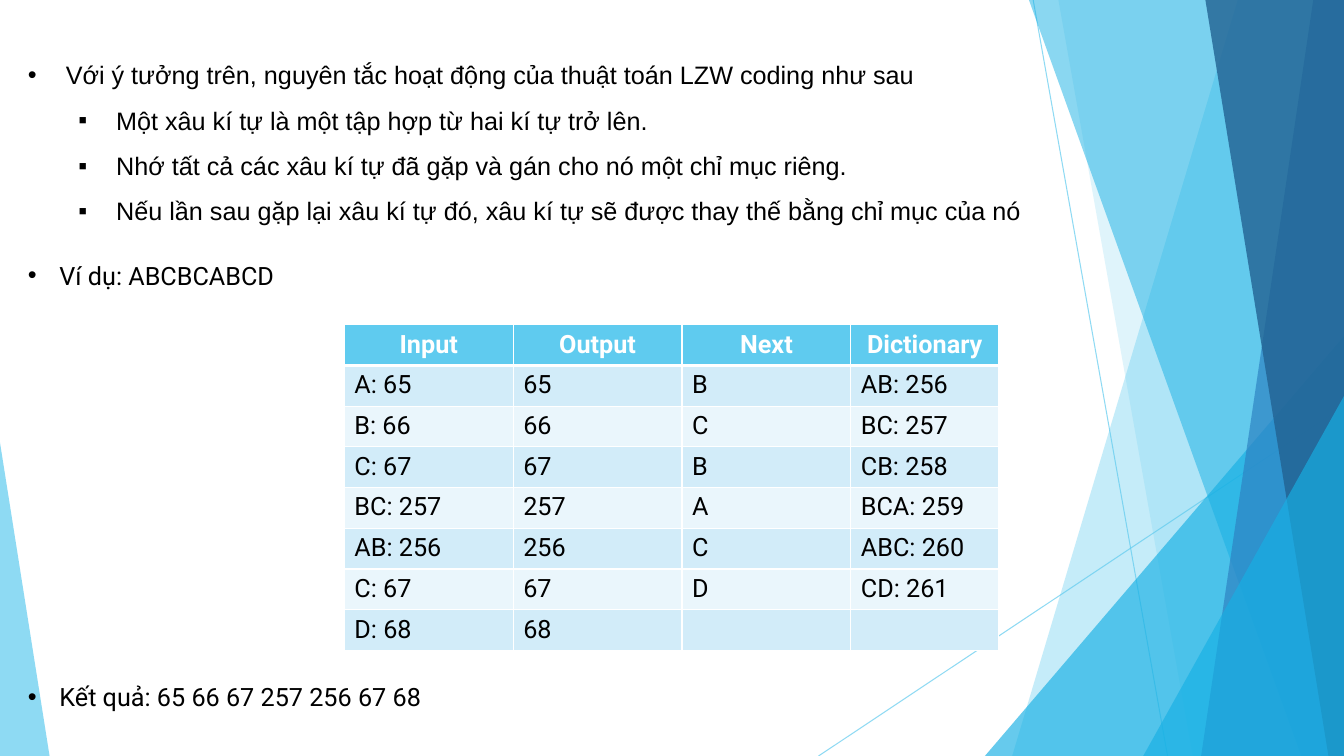
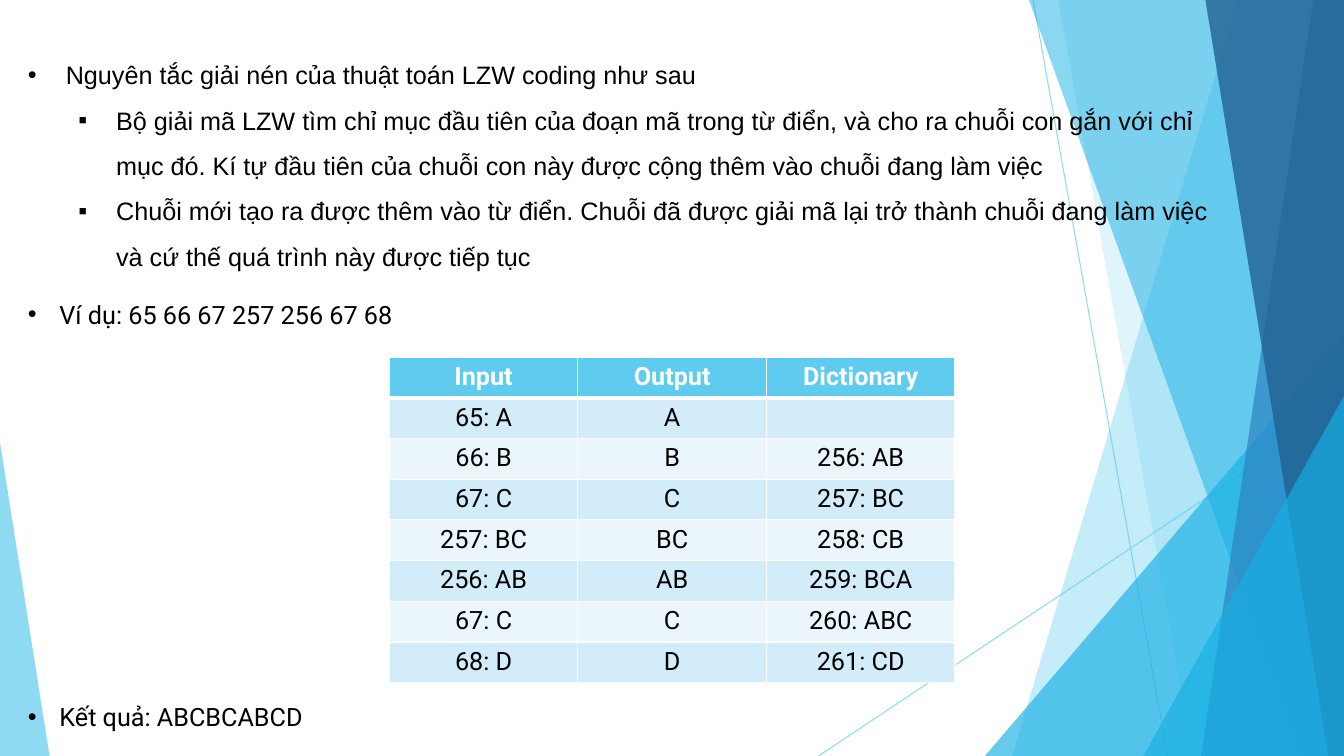
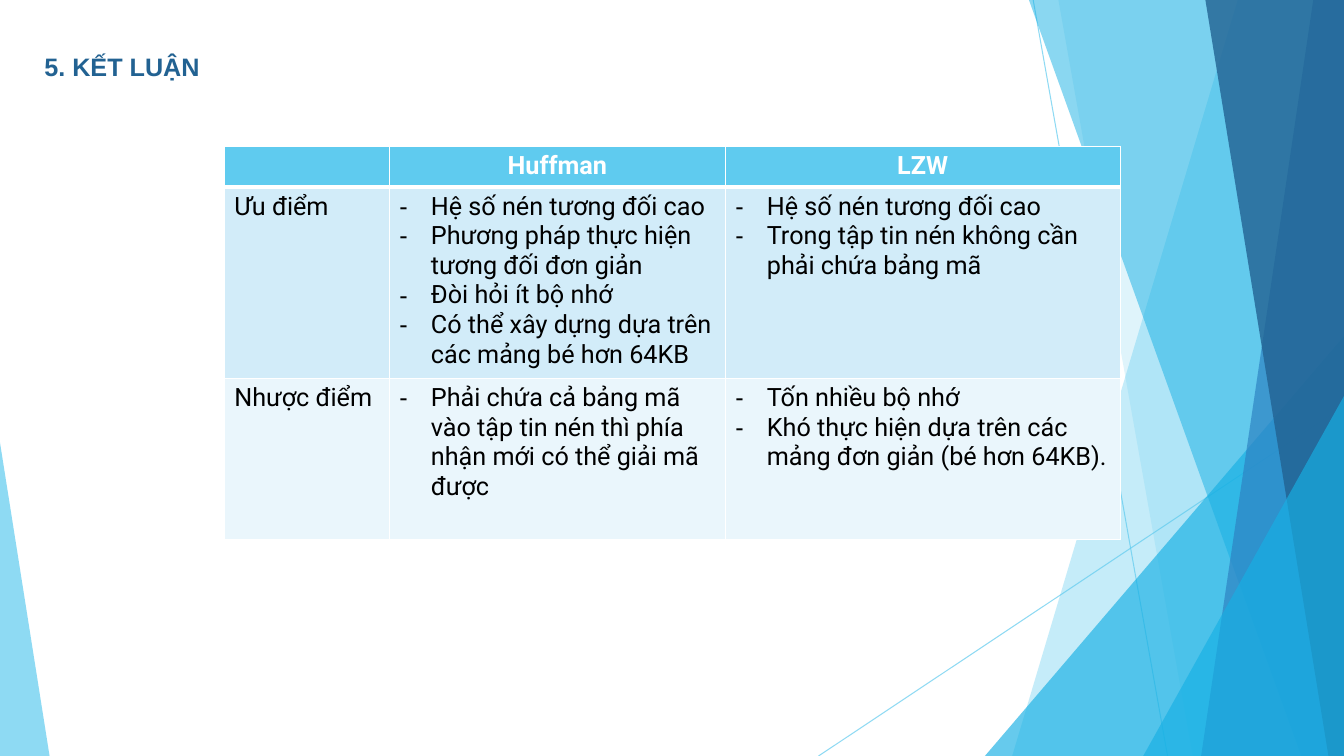
from dataclasses import dataclass

from lxml.etree import SubElement
from pptx import Presentation
from pptx.dml.color import RGBColor as Rgb
from pptx.enum.shapes import MSO_CONNECTOR as Link, MSO_SHAPE as Kind
from pptx.enum.text import MSO_AUTO_SIZE as Fit, PP_ALIGN as Align
from pptx.oxml.ns import qn
from pptx.oxml.xmlchemy import BaseOxmlElement as Node
from pptx.slide import Slide, SlideLayout as Layout
from pptx.table import _Cell as Cell
from pptx.text.text import TextFrame as Frame, _Paragraph as Para
from pptx.util import Emu, Pt

COLS, ROWS = 32, 18
UNIT = 381000


@dataclass(frozen=True)
class Theme:
    sky: str = "5FCBEF"
    cyan: str = "17B0E4"
    blue: str = "2E83C3"
    navy: str = "226292"
    odd: str = "D2ECF9"
    even: str = "EAF6FC"
    white: str = "FFFFFF"
    black: str = "000000"
    plain: str = "Arial"
    body: str = "Roboto"
    size: float = 18
    hair: float = 0.75
    rule: float = 1
    thick: float = 3


LOOK = Theme()


@dataclass(frozen=True)
class Style:
    font: str = LOOK.body
    tint: str = LOOK.black
    bold: bool = False
    mark: str = ""
    left: float = 0
    hang: float = 0
    level: int = 0
    above: float = 0
    lead: float = 1
    align: Align = Align.LEFT


TITLE = Style(LOOK.plain, LOOK.navy, True)
HEAD = Style(tint=LOOK.white, bold=True, align=Align.CENTER)
LEFT = Style()
MID = Style(align=Align.CENTER)
DASH = Style(mark="-", left=0.75, hang=0.75)
NOTE = Style(mark="•", left=0.75, hang=0.75)
LEAD = Style(LOOK.plain, mark="•", left=0.9, hang=0.9, above=6, lead=1.5)
POINT = Style(LOOK.plain, mark="▪", left=2.1, hang=0.9, level=1, lead=1.5)


@dataclass(frozen=True)
class Box:
    x: float
    y: float
    w: float
    h: float

    def place(self) -> tuple[Emu, ...]:
        return tuple(map(unit, (self.x, self.y, self.w, self.h)))


@dataclass(frozen=True)
class Ray:
    x1: float
    y1: float
    x2: float
    y2: float


@dataclass(frozen=True)
class Slab:
    top: float
    foot: float
    tint: str
    alpha: int


@dataclass(frozen=True)
class Wedge:
    x: float
    y: float
    w: float
    tip: float
    tint: str
    alpha: int


@dataclass(frozen=True)
class Grid:
    x: float
    y: float
    wide: tuple[float, ...]
    high: tuple[float, ...]
    cells: tuple[tuple[str | tuple[str, ...], ...], ...]
    style: Style


@dataclass(frozen=True)
class Lesson:
    lead: str
    points: tuple[str, ...]
    tall: float
    sample: str
    mid: float
    answer: str
    end: float
    grid: Grid


LINE = 0.97
RAYS = (Ray(24.6, 0, 27.8, ROWS), Ray(COLS, 9.67, 19.49, ROWS))
PANES = (
    Slab(29.47, 24.1, LOOK.sky, 36),
    Slab(25.2, 28.4, LOOK.sky, 20),
    Wedge(23.45, 8, 8.55, 1, LOOK.cyan, 66),
    Slab(24.5, 30.98, LOOK.cyan, 50),
    Slab(31.27, 28.6, LOOK.blue, 70),
    Slab(28.7, 31.63, LOOK.navy, 80),
    Wedge(27.22, 9.43, 4.78, 1, LOOK.cyan, 66),
    Wedge(0, 10.54, 1.18, 0, LOOK.sky, 70),
)

LESSONS = (
    Lesson(
        "Với ý tưởng trên, nguyên tắc hoạt động của thuật toán LZW coding như sau",
        (
            "Một xâu kí tự là một tập hợp từ hai kí tự trở lên.",
            "Nhớ tất cả các xâu kí tự đã gặp và gán cho nó một chỉ mục riêng.",
            "Nếu lần sau gặp lại xâu kí tự đó, xâu kí tự sẽ được thay thế bằng chỉ mục của nó",
        ),
        4.46,
        "Ví dụ: ABCBCABCD", 6.07,
        "Kết quả: 65 66 67 257 256 67 68", 16.1,
        Grid(8.2, 7.73, (4.02, 4.02, 4.02, 3.52), (LINE,) * 8, (
            ("Input", "Output", "Next", "Dictionary"),
            ("A: 65", "65", "B", "AB: 256"),
            ("B: 66", "66", "C", "BC: 257"),
            ("C: 67", "67", "B", "CB: 258"),
            ("BC: 257", "257", "A", "BCA: 259"),
            ("AB: 256", "256", "C", "ABC: 260"),
            ("C: 67", "67", "D", "CD: 261"),
            ("D: 68", "68", "", ""),
        ), LEFT),
    ),
    Lesson(
        "Nguyên tắc giải nén của thuật toán LZW coding như sau",
        (
            "Bộ giải mã LZW tìm chỉ mục đầu tiên của đoạn mã trong từ điển, và cho ra "
            "chuỗi con gắn với chỉ mục đó. Kí tự đầu tiên của chuỗi con này được cộng "
            "thêm vào chuỗi đang làm việc",
            "Chuỗi mới tạo ra được thêm vào từ điển. Chuỗi đã được giải mã lại trở thành "
            "chuỗi đang làm việc và cứ thế quá trình này được tiếp tục",
        ),
        5.57,
        "Ví dụ: 65 66 67 257 256 67 68", 7,
        "Kết quả: ABCBCABCD", 16.58,
        Grid(9.27, 8.5, (4.49,) * 3, (LINE,) * 8, (
            ("Input", "Output", "Dictionary"),
            ("65: A", "A", ""),
            ("66: B", "B", "256: AB"),
            ("67: C", "C", "257: BC"),
            ("257: BC", "BC", "258: CB"),
            ("256: AB", "AB", "259: BCA"),
            ("67: C", "C", "260: ABC"),
            ("68: D", "D", "261: CD"),
        ), MID),
    ),
)

VERDICT = Grid(5.34, 3.48, (3.93, 8, 9.4), (LINE, 4.56, 3.84), (
    ("", "Huffman", "LZW"),
    (
        "Ưu điểm",
        (
            "Hệ số nén tương đối cao",
            "Phương pháp thực hiện tương đối đơn giản",
            "Đòi hỏi ít bộ nhớ",
            "Có thể xây dựng dựa trên các mảng bé hơn 64KB",
        ),
        (
            "Hệ số nén tương đối cao",
            "Trong tập tin nén không cần phải chứa bảng mã",
        ),
    ),
    (
        "Nhược điểm",
        ("Phải chứa cả bảng mã vào tập tin nén thì phía nhận mới có thể giải mã được",),
        (
            "Tốn nhiều bộ nhớ",
            "Khó thực hiện dựa trên các mảng đơn giản (bé hơn 64KB).",
        ),
    ),
), LEFT)


def unit(cells: float) -> Emu:
    return Emu(round(cells * UNIT))


def fade(node: Node, alpha: int) -> None:
    for tint in node.spPr.iter(qn("a:srgbClr")):
        SubElement(tint, qn("a:alpha"), val=str(alpha * 1000))


def draw_ray(slide: Slide, ray: Ray) -> None:
    line = slide.shapes.add_connector(
        Link.STRAIGHT, *map(unit, (ray.x1, ray.y1, ray.x2, ray.y2)))
    line.line.color.rgb = Rgb.from_string(LOOK.sky)
    line.line.width = Pt(LOOK.hair)
    fade(line.element, 70)
    SubElement(line.element.spPr, qn("a:effectLst"))


def draw_pane(slide: Slide, pane: Slab | Wedge) -> None:
    if isinstance(pane, Slab):
        pen = slide.shapes.build_freeform(unit(pane.top), 0)
        ends = ((COLS, 0), (COLS, ROWS), (pane.foot, ROWS))
        pen.add_line_segments([(unit(x), unit(y)) for x, y in ends])
        shape = pen.convert_to_shape()
    else:
        box = Box(pane.x, pane.y, pane.w, ROWS - pane.y)
        shape = slide.shapes.add_shape(Kind.ISOSCELES_TRIANGLE, *box.place())
        shape.adjustments[0] = pane.tip
    shape.shadow.inherit = False
    shape.fill.solid()
    shape.fill.fore_color.rgb = Rgb.from_string(pane.tint)
    shape.line.fill.background()
    fade(shape.element, pane.alpha)


def set_back(slide: Slide, layout: Layout) -> None:
    for holder in list(layout.placeholders):
        layout.shapes.element.remove(holder.element)
    for ray in RAYS:
        draw_ray(slide, ray)
    for pane in PANES:
        draw_pane(slide, pane)
    for shape in list(slide.shapes):
        layout.shapes.element.append(shape.element)


def set_para(para: Para, text: str, style: Style) -> None:
    para.text = text
    para.alignment = style.align
    para.level = style.level
    para.line_spacing = style.lead
    para.space_before = Pt(style.above)
    if style.mark:
        props = para._p.get_or_add_pPr()
        props.set("marL", str(unit(style.left)))
        props.set("indent", str(-unit(style.hang)))
        SubElement(props, qn("a:buFont"), typeface=LOOK.plain)
        SubElement(props, qn("a:buChar"), char=style.mark)
    font = para.font
    font.name = style.font
    font.size = Pt(LOOK.size)
    font.bold = style.bold
    font.color.rgb = Rgb.from_string(style.tint)


def fill_text(frame: Frame, items: list[tuple[str, Style]]) -> None:
    for i, (text, style) in enumerate(items):
        para = frame.add_paragraph() if i else frame.paragraphs[0]
        set_para(para, text, style)


def add_text(slide: Slide, box: Box, *items: tuple[str, Style]) -> None:
    frame = slide.shapes.add_textbox(*box.place()).text_frame
    frame.word_wrap = True
    frame.auto_size = Fit.SHAPE_TO_FIT_TEXT
    fill_text(frame, list(items))


def set_edge(cell: Cell, row: int) -> None:
    props = cell._tc.get_or_add_tcPr()
    sides = {"L": LOOK.rule, "R": LOOK.rule,
             "T": LOOK.thick if row == 1 else LOOK.rule,
             "B": LOOK.thick if row == 0 else LOOK.rule}
    for side, width in sides.items():
        edge = SubElement(props, qn(f"a:ln{side}"), w=str(Pt(width)))
        SubElement(SubElement(edge, qn("a:solidFill")), qn("a:srgbClr"), val=LOOK.white)


def add_grid(slide: Slide, grid: Grid) -> None:
    box = Box(grid.x, grid.y, sum(grid.wide), sum(grid.high))
    table = slide.shapes.add_table(
        len(grid.high), len(grid.wide), *box.place()).table
    for col, wide in zip(table.columns, grid.wide):
        col.width = unit(wide)
    for row, high in zip(table.rows, grid.high):
        row.height = unit(high)
    for r, line in enumerate(grid.cells):
        tint = LOOK.sky if r == 0 else LOOK.odd if r % 2 else LOOK.even
        for c, text in enumerate(line):
            cell = table.cell(r, c)
            set_edge(cell, r)
            cell.fill.solid()
            cell.fill.fore_color.rgb = Rgb.from_string(tint)
            if isinstance(text, tuple):
                items = [(part, DASH) for part in text]
            else:
                items = [(text, HEAD if r == 0 else grid.style)]
            fill_text(cell.text_frame, items)


def add_lesson(slide: Slide, lesson: Lesson) -> None:
    edge = 0.43
    add_text(slide, Box(edge, 0.94, 28.66, lesson.tall), (lesson.lead, LEAD),
             *((point, POINT) for point in lesson.points))
    for text, y in ((lesson.sample, lesson.mid), (lesson.answer, lesson.end)):
        add_text(slide, Box(edge, y, 11, LINE), (text, NOTE))
    add_grid(slide, lesson.grid)


def main() -> None:
    deck = Presentation()
    deck.slide_width, deck.slide_height = unit(COLS), unit(ROWS)
    blank = deck.slide_layouts[6]
    slides = [deck.slides.add_slide(blank) for _ in range(len(LESSONS) + 1)]
    set_back(slides[0], blank)
    for slide, lesson in zip(slides, LESSONS):
        add_lesson(slide, lesson)
    add_text(slides[-1], Box(0.82, 1.1, 7.75, LINE), ("5. KẾT LUẬN", TITLE))
    add_grid(slides[-1], VERDICT)
    deck.save("out.pptx")


if __name__ == "__main__":
    main()
